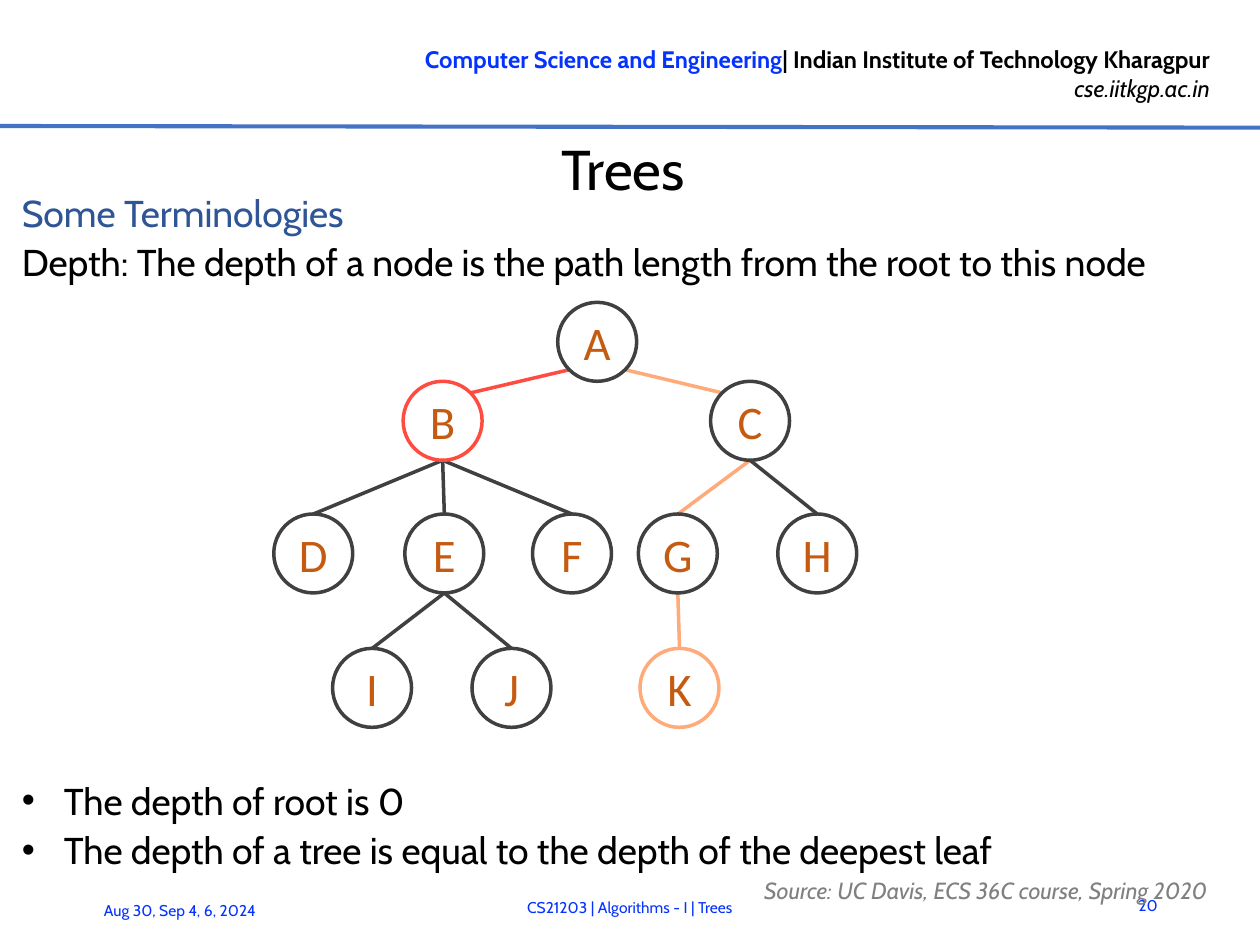
import math
from dataclasses import dataclass
from typing import Optional

import pptx
import pptx.dml.color
import pptx.enum.shapes
import pptx.enum.text
import pptx.oxml.ns
import pptx.util
from lxml import etree

Inches = pptx.util.Inches
Pt = pptx.util.Pt
Align = pptx.enum.text.PP_ALIGN
Anchor = pptx.enum.text.MSO_ANCHOR


@dataclass(frozen=True)
class Theme:
    text_font: str = "Cabin"
    node_font: str = "Calibri"
    black: str = "000000"
    blue: str = "0432FF"
    heading: str = "2F5597"
    rule: str = "4472C4"
    gray: str = "808080"
    label: str = "C55A11"
    dark: str = "404040"
    red: str = "FF4C41"
    peach: str = "FFAA79"
    title_size: float = 24
    node_size: float = 20
    body_size: float = 16
    header_size: float = 10.2
    source_size: float = 10
    footer_size: float = 6.7
    edge_width: float = 1.5
    rule_width: float = 1.75


THEME = Theme()
SLIDE_WIDTH = 7.5
SLIDE_HEIGHT = SLIDE_WIDTH * 3 / 4
DIAMETER = 0.47
RADIUS = DIAMETER / 2
DIAGONAL = RADIUS * math.sqrt(0.5)
LEVEL_TOPS = (1.8, 2.27, 3.06, 3.86)


@dataclass(frozen=True)
class Node:
    name: str
    depth: int
    left: float
    parent: Optional[str] = None
    outline: str = THEME.dark
    edge: str = THEME.dark

    @property
    def center(self) -> tuple[float, float]:
        return self.left + RADIUS, LEVEL_TOPS[self.depth] + RADIUS


@dataclass(frozen=True)
class Run:
    text: str
    size: float
    color: str = THEME.black
    bold: bool = False
    italic: bool = False
    font: str = THEME.text_font


@dataclass(frozen=True)
class Label:
    """A text box: its place, its paragraphs of runs and its alignment."""
    box: tuple[float, float, float, float]
    paragraphs: tuple[tuple[Run, ...], ...]
    align: Align = Align.LEFT
    anchor: Anchor = Anchor.MIDDLE
    line_spacing: Optional[float] = None


@dataclass(frozen=True)
class BodyLine:
    text: str
    color: str = THEME.black
    bullet: bool = False
    space_before: float = 2


NODES = (
    Node("A", 0, 3.32),
    Node("B", 1, 2.4, "A", THEME.red, THEME.red),
    Node("C", 1, 4.23, "A", edge=THEME.peach),
    Node("D", 2, 1.63, "B"),
    Node("E", 2, 2.41, "B"),
    Node("F", 2, 3.17, "B"),
    Node("G", 2, 3.8, "C", edge=THEME.peach),
    Node("H", 2, 4.63, "C"),
    Node("I", 3, 1.98, "E"),
    Node("J", 3, 2.81, "E"),
    Node("K", 3, 3.81, "G", THEME.peach, THEME.peach),
)

BODY = (
    BodyLine("Some Terminologies", THEME.heading, space_before=0),
    BodyLine("Depth: The depth of a node is the path length from the root to this node"),
    BodyLine("The depth of root is 0", bullet=True, space_before=212),
    BodyLine("The depth of a tree is equal to the depth of the deepest leaf", bullet=True),
)

LABELS = (
    Label((1.91, 0.22, 5.39, 0.44), (
        (Run("Computer Science and Engineering", THEME.header_size, THEME.blue, bold=True),
         Run("| Indian Institute of Technology Kharagpur", THEME.header_size, bold=True)),
        (Run("cse.iitkgp.ac.in", THEME.header_size, italic=True),),
    ), Align.RIGHT, Anchor.TOP),
    Label((6.62, 5.24, 0.37, 0.3), ((Run("20", THEME.footer_size, THEME.blue),),), Align.RIGHT),
    Label((0.52, 5.27, 1.31, 0.3),
          ((Run("Aug 30, Sep 4, 6, 2024", THEME.footer_size, THEME.blue),),)),
    Label((1.24, 5.25, 5.02, 0.3),
          ((Run("CS21203 | Algorithms - I | Trees", THEME.footer_size, THEME.blue),),),
          Align.CENTER),
    Label((4.45, 5.17, 3.02, 0.17),
          ((Run("Source: UC Davis, ECS 36C course, Spring 2020", THEME.source_size,
                THEME.gray, italic=True),),), line_spacing=18),
)


def rgb(color: str) -> pptx.dml.color.RGBColor:
    return pptx.dml.color.RGBColor.from_string(color)


def place(shape, left: float, top: float, width: float, height: float) -> None:
    shape.left, shape.top = Inches(left), Inches(top)
    shape.width, shape.height = Inches(width), Inches(height)


def add_run(paragraph, content: Run) -> None:
    run = paragraph.add_run()
    run.text = content.text
    run.font.name = content.font
    run.font.size = Pt(content.size)
    run.font.bold = content.bold
    run.font.italic = content.italic
    run.font.color.rgb = rgb(content.color)


def nth_paragraph(frame, index: int):
    return frame.add_paragraph() if index else frame.paragraphs[0]


def set_bullet(paragraph, bullet: bool) -> None:
    properties = paragraph._p.get_or_add_pPr()
    properties.set("marL", str(Inches(0.25) if bullet else 0))
    properties.set("indent", str(Inches(-0.25) if bullet else 0))
    qn = pptx.oxml.ns.qn
    if bullet:
        etree.SubElement(properties, qn("a:buFont"), typeface="Arial")
        etree.SubElement(properties, qn("a:buChar"), char="•")
    else:
        etree.SubElement(properties, qn("a:buNone"))


def add_line(slide, start: tuple[float, float], end: tuple[float, float],
             color: str, width: float) -> None:
    connector = slide.shapes.add_connector(
        pptx.enum.shapes.MSO_CONNECTOR.STRAIGHT, *map(Inches, (*start, *end)))
    connector.line.color.rgb = rgb(color)
    connector.line.width = Pt(width)
    etree.SubElement(connector._element.spPr, pptx.oxml.ns.qn("a:effectLst"))


def add_edge(slide, parent: Node, child: Node) -> None:
    """Join root edges on the circles' diagonals, all others bottom to top."""
    (x1, y1), (x2, y2) = parent.center, child.center
    if parent.depth == 0:
        shift = math.copysign(DIAGONAL, x2 - x1)
        start, end = (x1 + shift, y1 + DIAGONAL), (x2 - shift, y2 - DIAGONAL)
    else:
        start, end = (x1, y1 + RADIUS), (x2, y2 - RADIUS)
    add_line(slide, start, end, child.edge, THEME.edge_width)


def add_node(slide, node: Node) -> None:
    circle = slide.shapes.add_shape(
        pptx.enum.shapes.MSO_SHAPE.OVAL,
        *map(Inches, (node.left, LEVEL_TOPS[node.depth], DIAMETER, DIAMETER)))
    circle.shadow.inherit = False
    circle.fill.background()
    circle.line.color.rgb = rgb(node.outline)
    circle.line.width = Pt(THEME.edge_width)
    frame = circle.text_frame
    frame.margin_left = frame.margin_right = frame.margin_top = frame.margin_bottom = 0
    frame.word_wrap = False
    frame.vertical_anchor = Anchor.MIDDLE
    frame.paragraphs[0].alignment = Align.CENTER
    add_run(frame.paragraphs[0],
            Run(node.name, THEME.node_size, THEME.label, font=THEME.node_font))


def add_label(slide, label: Label) -> None:
    frame = slide.shapes.add_textbox(*map(Inches, label.box)).text_frame
    frame.word_wrap = True
    frame.vertical_anchor = label.anchor
    for index, runs in enumerate(label.paragraphs):
        paragraph = nth_paragraph(frame, index)
        paragraph.alignment = label.align
        if label.line_spacing:
            paragraph.line_spacing = Pt(label.line_spacing)
        for run in runs:
            add_run(paragraph, run)


def fill_title(title) -> None:
    place(title, 0.24, 0.79, 6.94, 0.41)
    frame = title.text_frame
    frame.auto_size = pptx.enum.text.MSO_AUTO_SIZE.NONE
    frame.margin_left = frame.margin_right = frame.margin_bottom = 0
    frame.margin_top = Inches(0.01)
    frame.vertical_anchor = Anchor.MIDDLE
    frame.paragraphs[0].alignment = Align.CENTER
    add_run(frame.paragraphs[0], Run("Trees", THEME.title_size))


def fill_body(body) -> None:
    place(body, 0.03, 1.11, 7.37, 4.05)
    frame = body.text_frame
    frame.auto_size = pptx.enum.text.MSO_AUTO_SIZE.NONE
    for index, line in enumerate(BODY):
        paragraph = nth_paragraph(frame, index)
        set_bullet(paragraph, line.bullet)
        paragraph.line_spacing = Pt(17)
        paragraph.space_before = Pt(line.space_before)
        paragraph.space_after = Pt(2)
        add_run(paragraph, Run(line.text, THEME.body_size, line.color))


def main() -> None:
    presentation = pptx.Presentation()
    presentation.slide_width = Inches(SLIDE_WIDTH)
    presentation.slide_height = Inches(SLIDE_HEIGHT)
    slide = presentation.slides.add_slide(presentation.slide_layouts[1])
    fill_title(slide.shapes.title)
    fill_body(slide.placeholders[1])
    add_line(slide, (0, 0.75), (SLIDE_WIDTH, 0.76), THEME.rule, THEME.rule_width)
    for label in LABELS:
        add_label(slide, label)
    nodes = {node.name: node for node in NODES}
    for node in NODES:
        if node.parent:
            add_edge(slide, nodes[node.parent], node)
    for node in NODES:
        add_node(slide, node)
    presentation.save("out.pptx")


if __name__ == "__main__":
    main()
